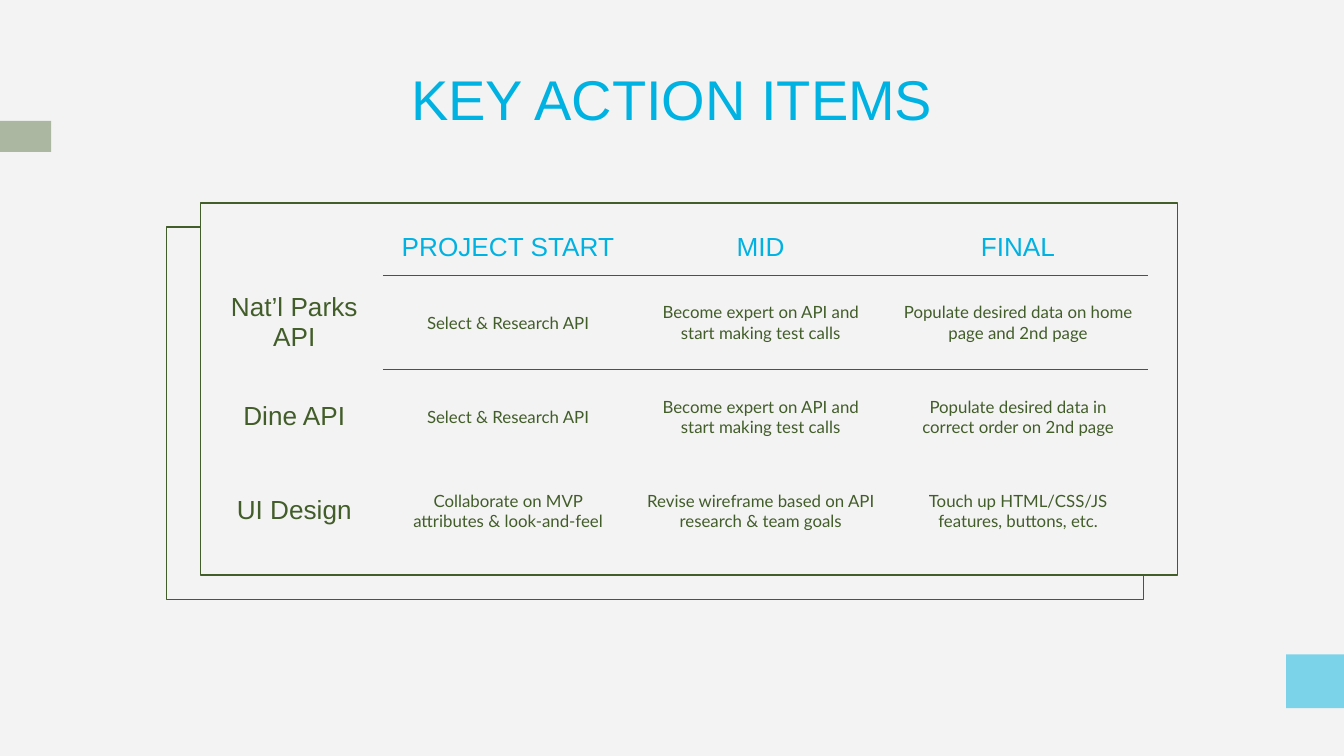
from lxml import etree
from pptx import Presentation
from pptx import util as u
from pptx.dml.color import RGBColor
from pptx.enum import shapes, text
from pptx.oxml import ns

PAPER, GREEN, BLUE = "F3F3F3", "425D29", "00B2E2"
HEADING_FONT, BODY_FONT = "Arial", "Lato"
PLAIN_TABLE = "{2D5ABB26-0587-4C30-8999-92F81FD0307C}"

COLUMNS, ROWS = 100, 56.25  # grid of square units, ten to the inch


def rgb(value):
    return RGBColor.from_string(value)


class SlideBuilder:
    line_width = u.Pt(0.75)
    inset = u.Inches(0.1)

    def __init__(self, presentation):
        self.unit = presentation.slide_width / COLUMNS
        self.slide = presentation.slides.add_slide(presentation.slide_layouts[5])
        fill = self.slide.background.fill
        fill.solid()
        fill.fore_color.rgb = rgb(PAPER)

    def grid(self, *lengths):
        return [round(length * self.unit) for length in lengths]

    def format_text(self, text_frame, size, font_name, colour):
        for paragraph in text_frame.paragraphs:
            paragraph.alignment = text.PP_ALIGN.CENTER
            for run in paragraph.runs:
                run.font.size = u.Pt(size)
                run.font.name = font_name
                run.font.color.rgb = rgb(colour)

    def set_insets(self, target):
        target.margin_left = target.margin_right = self.inset
        target.margin_top = target.margin_bottom = self.inset

    def title(self, wording, box):
        shape = self.slide.shapes.title
        shape.left, shape.top, shape.width, shape.height = self.grid(*box)
        frame = shape.text_frame
        frame.text = wording
        frame.word_wrap = True
        frame.auto_size = text.MSO_AUTO_SIZE.NONE
        frame.vertical_anchor = text.MSO_ANCHOR.BOTTOM
        self.set_insets(frame)
        self.format_text(frame, 30, HEADING_FONT, BLUE)

    def rectangle(self, box, fill=None, line=None, opacity=None):
        shape = self.slide.shapes.add_shape(
            shapes.MSO_SHAPE.RECTANGLE, *self.grid(*box))
        shape.shadow.inherit = False
        if fill:
            shape.fill.solid()
            shape.fill.fore_color.rgb = rgb(fill)
        else:
            shape.fill.background()
        if line:
            shape.line.color.rgb = rgb(line)
            shape.line.width = self.line_width
        else:
            shape.line.fill.background()
        if opacity:
            colour = shape.fill._xPr.find(".//" + ns.qn("a:srgbClr"))
            etree.SubElement(colour, ns.qn("a:alpha"), val=str(opacity * 1000))

    def border(self, cell, side):
        line = etree.Element(ns.qn("a:" + side), w=str(self.line_width))
        fill = etree.SubElement(line, ns.qn("a:solidFill"))
        etree.SubElement(fill, ns.qn("a:srgbClr"), val=GREEN)
        cell._tc.get_or_add_tcPr().insert(0, line)

    def table(self, corner, widths, heights, content):
        frame = self.slide.shapes.add_table(
            len(heights), len(widths),
            *self.grid(*corner, sum(widths), sum(heights)))
        table = frame.table
        table.first_row = table.horz_banding = False
        table._tbl.tblPr.find(ns.qn("a:tableStyleId")).text = PLAIN_TABLE
        for column, width in zip(table.columns, self.grid(*widths)):
            column.width = width
        for row, height in zip(table.rows, self.grid(*heights)):
            row.height = height
        for r, wordings in enumerate(content):
            for c, wording in enumerate(wordings):
                self.cell(table.cell(r, c), wording, r, c)

    def cell(self, cell, wording, row, column):
        is_header, is_label = row == 0, column == 0
        self.set_insets(cell)
        cell.vertical_anchor = (
            text.MSO_ANCHOR.BOTTOM if is_header else text.MSO_ANCHOR.MIDDLE)
        cell.fill.solid()
        cell.fill.fore_color.rgb = rgb(PAPER)
        if wording:
            cell.text_frame.text = wording
        else:
            cell.text_frame.paragraphs[0].font.size = u.Pt(14)
        heading = is_header or is_label
        self.format_text(cell.text_frame, 14 if heading else 9,
                         HEADING_FONT if heading else BODY_FONT,
                         BLUE if is_header else GREEN)
        # One rule between the header and the first row
        if not is_label and row < 2:
            self.border(cell, "lnB" if is_header else "lnT")


def main():
    presentation = Presentation()
    presentation.slide_width = u.Inches(COLUMNS / 10)
    presentation.slide_height = u.Inches(ROWS / 10)
    builder = SlideBuilder(presentation)

    # Title
    builder.title("KEY ACTION ITEMS", (6.8, 1.5, 86.4, 9.3))

    # Two overlapping cards
    builder.rectangle((12.4, 16.9, 72.7, 27.7), line=GREEN)
    builder.rectangle((14.9, 15.1, 72.7, 27.7), fill=PAPER, line=GREEN)

    # Action items
    builder.table((15.3, 15.7), (13.2, 18.6, 19, 19.3), (4.8, 7, 7, 7), [
        ("", "PROJECT START", "MID", "FINAL"),
        ("Nat’l Parks API", "Select & Research API",
         "Become expert on API and start making test calls",
         "Populate desired data on home page and 2nd page"),
        ("Dine API", "Select & Research API",
         "Become expert on API and start making test calls",
         "Populate desired data in correct order on 2nd page"),
        ("UI Design", "Collaborate on MVP attributes & look-and-feel",
         "Revise wireframe based on API research & team goals",
         "Touch up HTML/CSS/JS features, buttons, etc."),
    ])

    # Edge accents
    builder.rectangle((-2.1, 9, 5.9, 2.3), fill=GREEN, opacity=40)
    builder.rectangle((95.7, 48.7, 5.9, 4), fill=BLUE, opacity=49)

    presentation.save("out.pptx")


if __name__ == "__main__":
    main()
